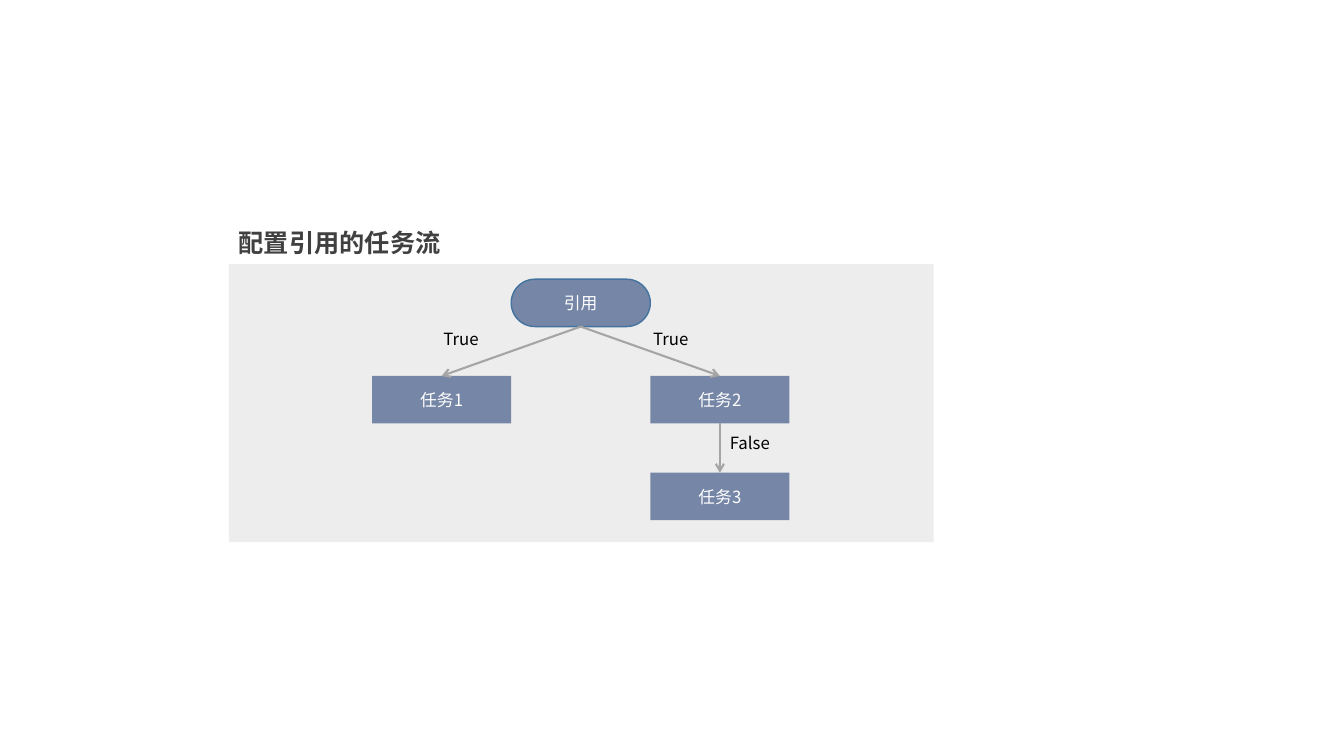
from dataclasses import dataclass

from lxml import etree
from pptx import Presentation
from pptx.dml.color import RGBColor
from pptx.enum.shapes import MSO_CONNECTOR, MSO_SHAPE
from pptx.enum.text import MSO_ANCHOR, PP_ALIGN
from pptx.oxml.ns import qn
from pptx.util import Inches, Pt

RECT, ROUNDED = MSO_SHAPE.RECTANGLE, MSO_SHAPE.ROUNDED_RECTANGLE
STRAIGHT = MSO_CONNECTOR.STRAIGHT
MIDDLE, CENTER = MSO_ANCHOR.MIDDLE, PP_ALIGN.CENTER
CJK_FONT, TITLE_FONT = "Noto Sans CJK SC", "Arial"
GREY, NAVY, WHITE, BLACK = "A5A5A5", "002060", "FFFFFF", "000000"
NODE_W, NODE_H = 1.38, 0.47
GRID_LEFT, GRID_TOP, ROW_STEP = 3.69, 2.77, 0.96
TOP_SITE, BOTTOM_SITE = 0, 2


@dataclass(frozen=True)
class Task:
    """A task box on the flow grid."""
    text: str
    col: int
    row: int


@dataclass(frozen=True)
class Label:
    """A free text with its place and look."""
    text: str
    left: float
    top: float
    width: float = 0.85
    height: float = 0.3
    size: int = 12
    font: str = CJK_FONT
    color: str = BLACK
    bold: bool = False


START = Task("引用", 1, 0)
TASK_1, TASK_2, TASK_3 = Task("任务1", 0, 1), Task("任务2", 2, 1), Task("任务3", 2, 2)
FLOWS = [(START, TASK_1), (START, TASK_2), (TASK_2, TASK_3)]
LABELS = [
    Label("配置引用的任务流", 2.27, 2.21, 4.4, 0.4, 18, TITLE_FONT, "404040", True),
    Label("True", 4.3, 3.21),
    Label("True", 6.38, 3.21),
    Label("False", 7.14, 4.24),
]


def paint(target, color: str, alpha: int = 100) -> None:
    """Give a fill a solid colour with an opacity in percent."""
    target.solid()
    target.fore_color.rgb = RGBColor.from_string(color)
    if alpha < 100:
        clr = target._xPr.find(qn("a:solidFill"))[0]
        etree.SubElement(clr, qn("a:alpha"), val=str(alpha * 1000))


def write(tf, text: str, size: int, font: str, color: str, bold: bool = False) -> None:
    """Set one line of text and format its run."""
    tf.text = text
    tf.word_wrap = True
    r = tf.paragraphs[0].runs[0]
    r.font.size, r.font.name, r.font.bold = Pt(size), font, bold
    paint(r.font.fill, color)
    etree.SubElement(r.font._element, qn("a:ea"), typeface=CJK_FONT)


def add_box(s, kind, left: float, top: float, width: float, height: float,
            color: str, alpha: int = 100):
    """Draw a filled shape without outline or shadow."""
    sp = s.shapes.add_shape(kind, Inches(left), Inches(top), Inches(width), Inches(height))
    sp.shadow.inherit = False
    paint(sp.fill, color, alpha)
    sp.line.fill.background()
    return sp


def add_node(s, task: Task):
    """Draw a task in its grid cell; the start is an outlined pill."""
    kind, color, alpha = (ROUNDED, "7686A6", 100) if task is START else (RECT, NAVY, 50)
    sp = add_box(s, kind, GRID_LEFT + task.col * NODE_W, GRID_TOP + task.row * ROW_STEP,
                 NODE_W, NODE_H, color, alpha)
    if task is START:
        sp.adjustments[0] = 0.5
        paint(sp.line.fill, "43739E")
        sp.line.width = Pt(1)
    write(sp.text_frame, task.text, 12, CJK_FONT, WHITE)
    sp.text_frame.vertical_anchor = MIDDLE
    sp.text_frame.paragraphs[0].alignment = CENTER
    return sp


def add_arrow(s, source, target) -> None:
    """Connect the bottom of one node to the top of another."""
    cxn = s.shapes.add_connector(STRAIGHT, 0, 0, 0, 0)
    cxn.begin_connect(source, BOTTOM_SITE)
    cxn.end_connect(target, TOP_SITE)
    paint(cxn.line.fill, GREY)
    cxn.line.width = Pt(1.5)
    etree.SubElement(cxn.line._get_or_add_ln(), qn("a:tailEnd"), type="arrow")
    etree.SubElement(cxn._element.spPr, qn("a:effectLst"))


def add_label(s, label: Label) -> None:
    """Add a text box for a label."""
    sp = s.shapes.add_textbox(Inches(label.left), Inches(label.top),
                              Inches(label.width), Inches(label.height))
    write(sp.text_frame, label.text, label.size, label.font, label.color, label.bold)


prs = Presentation()
prs.slide_width, prs.slide_height = Inches(13.33), Inches(7.5)
s = prs.slides.add_slide(prs.slide_layouts[6])

add_box(s, RECT, 2.27, 2.62, 6.99, 2.76, GREY, 20)
nodes = {task: add_node(s, task) for task in (TASK_1, TASK_2, TASK_3, START)}
for source, target in FLOWS:
    add_arrow(s, nodes[source], nodes[target])
for label in LABELS:
    add_label(s, label)

prs.save("out.pptx")
